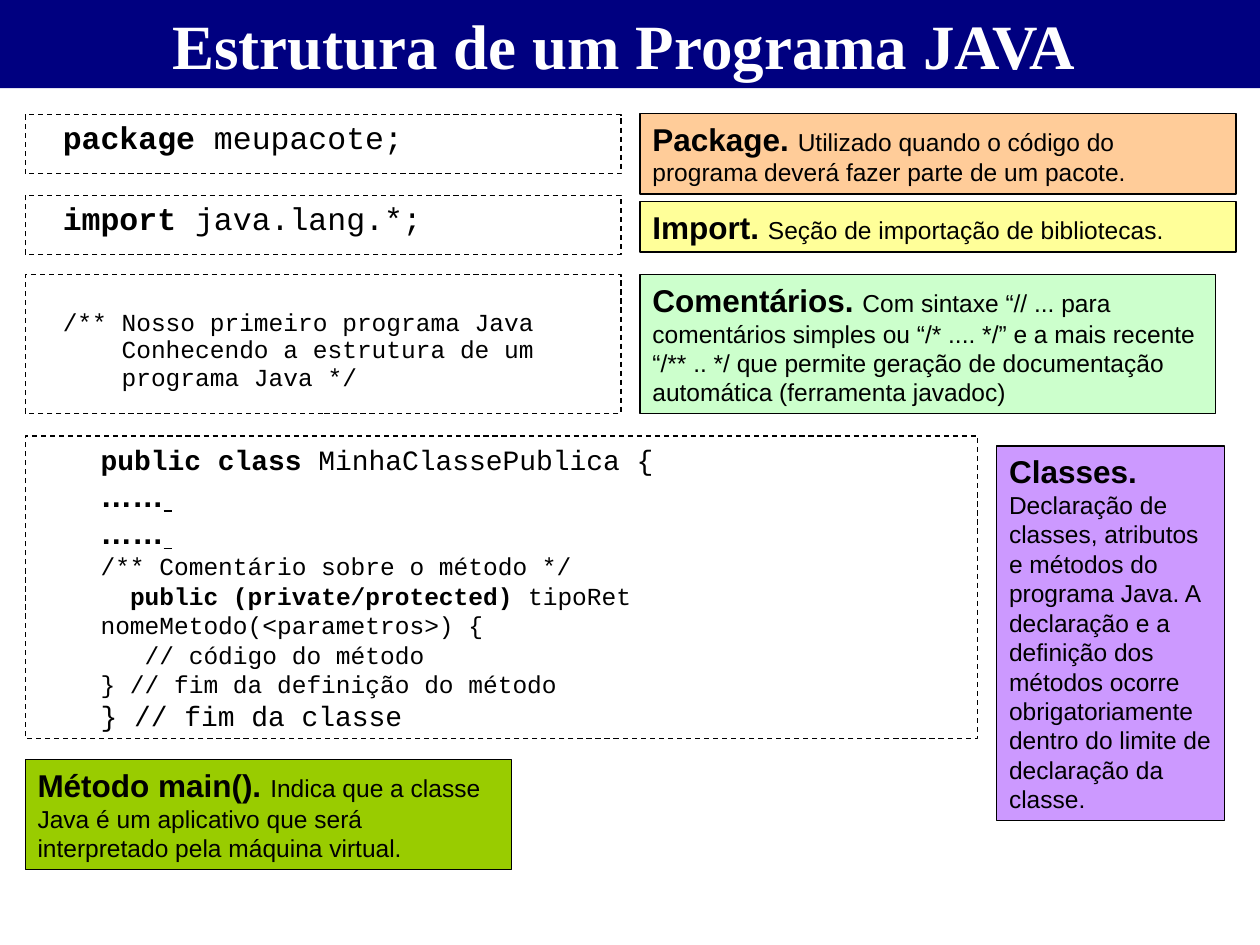
"""Build the slide on the structure of a Java program."""
from dataclasses import dataclass

from pptx import Presentation
from pptx import util as u
from pptx.dml.color import RGBColor
from pptx.enum import dml, shapes, text


@dataclass(frozen=True)
class Theme:
    """Colours, fonts and type sizes."""
    navy: str = "000080"
    white: str = "FFFFFF"
    black: str = "000000"
    orange: str = "FFCC99"
    yellow: str = "FFFF99"
    mint: str = "CCFFCC"
    violet: str = "CC99FF"
    green: str = "99CC00"
    serif: str = "Times New Roman"
    sans: str = "Arial"
    mono: str = "Courier New"
    title: int = 36
    heading: int = 18
    code: int = 16
    body: int = 14
    line: float = 0.75


THEME = Theme()
LEFT, RIGHT, COLUMN = 0.2, 5.08, 4.73

TITLE = "Estrutura de um Programa JAVA "

NOTES = [
    ("Package. ", "Utilizado quando o código do programa deverá fazer parte de um pacote.",
     THEME.orange, (RIGHT, 0.9, COLUMN, 0.64)),
    ("Import. ", "Seção de importação de bibliotecas.",
     THEME.yellow, (RIGHT, 1.6, COLUMN, 0.4)),
    ("Comentários. ",
     "Com sintaxe “// ... para comentários simples ou “/* .... */” e a mais recente "
     "“/** .. */ que permite geração de documentação automática (ferramenta javadoc)",
     THEME.mint, (RIGHT, 2.18, 4.57, 1.1)),
    ("Classes. ",
     "Declaração de classes, atributos e métodos do programa Java. A declaração e a "
     "definição dos métodos ocorre obrigatoriamente dentro do limite de declaração da classe.",
     THEME.violet, (7.91, 3.54, 1.81, 2.97)),
    ("Método main(). ",
     "Indica que a classe Java é um aplicativo que será interpretado pela máquina virtual.",
     THEME.green, (LEFT, 6.03, 3.86, 0.87)),
]

STATEMENTS = [
    ("package", " meupacote;", 0.91),
    ("import", " java.lang.*;", 1.55),
]

COMMENT = [
    "/** Nosso primeiro programa Java",
    "    Conhecendo a estrutura de um",
    "    programa Java */",
]

CODE = {"font": THEME.mono, "size": THEME.code}
SMALL = {"font": THEME.mono, "size": THEME.body}
HEADING = {"size": THEME.heading, "bold": True}
DOTS = [("……", HEADING), (" ", {"size": THEME.heading, "underline": True})]

CLASS_LINES = [
    [("public class", {**CODE, "bold": True}), (" MinhaClassePublica {", CODE)],
    DOTS,
    DOTS,
    [("/** Comentário sobre o método */", SMALL)],
    [("  ", SMALL), ("public (private/protected) ", {**SMALL, "bold": True}),
     ("tipoRet nomeMetodo(<parametros>) {", SMALL)],
    [("   // código do método", SMALL)],
    [("} // fim da definição do método", SMALL)],
    [("} // fim da classe", CODE)],
]


def add_text(paragraph, content, *, size, font=THEME.sans, color=THEME.black,
             bold=False, underline=False):
    """Append one formatted run to a paragraph."""
    run = paragraph.add_run()
    run.text = content
    run.font.name = font
    run.font.size = u.Pt(size)
    run.font.bold = bold
    run.font.underline = underline
    run.font.color.rgb = RGBColor.from_string(color)


def add_box(slide, place, lines, *, fill=None, outline=True, dashed=False, indent=0,
            spacing=1.0, top=0.05, align=text.PP_ALIGN.LEFT, anchor=text.MSO_ANCHOR.TOP):
    """Add a rectangle whose lines are lists of (content, format) pairs."""
    shape = slide.shapes.add_shape(shapes.MSO_SHAPE.RECTANGLE, *map(u.Inches, place))
    shape.shadow.inherit = False
    if fill:
        shape.fill.solid()
        shape.fill.fore_color.rgb = RGBColor.from_string(fill)
    else:
        shape.fill.background()
    if outline:
        shape.line.color.rgb = RGBColor.from_string(THEME.black)
        shape.line.width = u.Pt(THEME.line)
        if dashed:
            shape.line.dash_style = dml.MSO_LINE.DASH
    else:
        shape.line.fill.background()

    frame = shape.text_frame
    frame.word_wrap = True
    frame.vertical_anchor = anchor
    frame.margin_left = frame.margin_right = u.Inches(0.1)
    frame.margin_top, frame.margin_bottom = u.Inches(top), u.Inches(0.05)
    for index, line in enumerate(lines):
        paragraph = frame.add_paragraph() if index else frame.paragraphs[0]
        paragraph.alignment = align
        paragraph.line_spacing = spacing
        properties = paragraph._p.get_or_add_pPr()
        properties.set("marL", str(u.Inches(indent)))
        properties.set("indent", "0")
        for content, style in line:
            add_text(paragraph, content, **style)


def main():
    """Create and save the presentation."""
    presentation = Presentation()
    presentation.slide_width, presentation.slide_height = u.Inches(10), u.Inches(7.5)
    slide = presentation.slides.add_slide(presentation.slide_layouts[6])

    title_style = {"font": THEME.serif, "size": THEME.title, "color": THEME.white, "bold": True}
    add_box(slide, (0, 0, 10, 0.7), [[(TITLE, title_style)]], fill=THEME.navy, outline=False,
            align=text.PP_ALIGN.CENTER, anchor=text.MSO_ANCHOR.MIDDLE)

    statement = {**CODE, "size": THEME.heading}
    for keyword, rest, y in STATEMENTS:
        line = [(keyword, {**statement, "bold": True}), (rest, statement)]
        add_box(slide, (LEFT, y, COLUMN, 0.47), [line], dashed=True, indent=0.2, spacing=0.95)
    add_box(slide, (LEFT, 2.18, COLUMN, 1.1), [[(line, SMALL)] for line in COMMENT],
            dashed=True, indent=0.2, spacing=0.95, top=0.27)
    add_box(slide, (LEFT, 3.46, 7.56, 2.4), CLASS_LINES, dashed=True, indent=0.5)

    for heading, body, fill, place in NOTES:
        add_box(slide, place, [[(heading, HEADING), (body, {"size": THEME.body})]], fill=fill)

    presentation.save("out.pptx")


if __name__ == "__main__":
    main()
